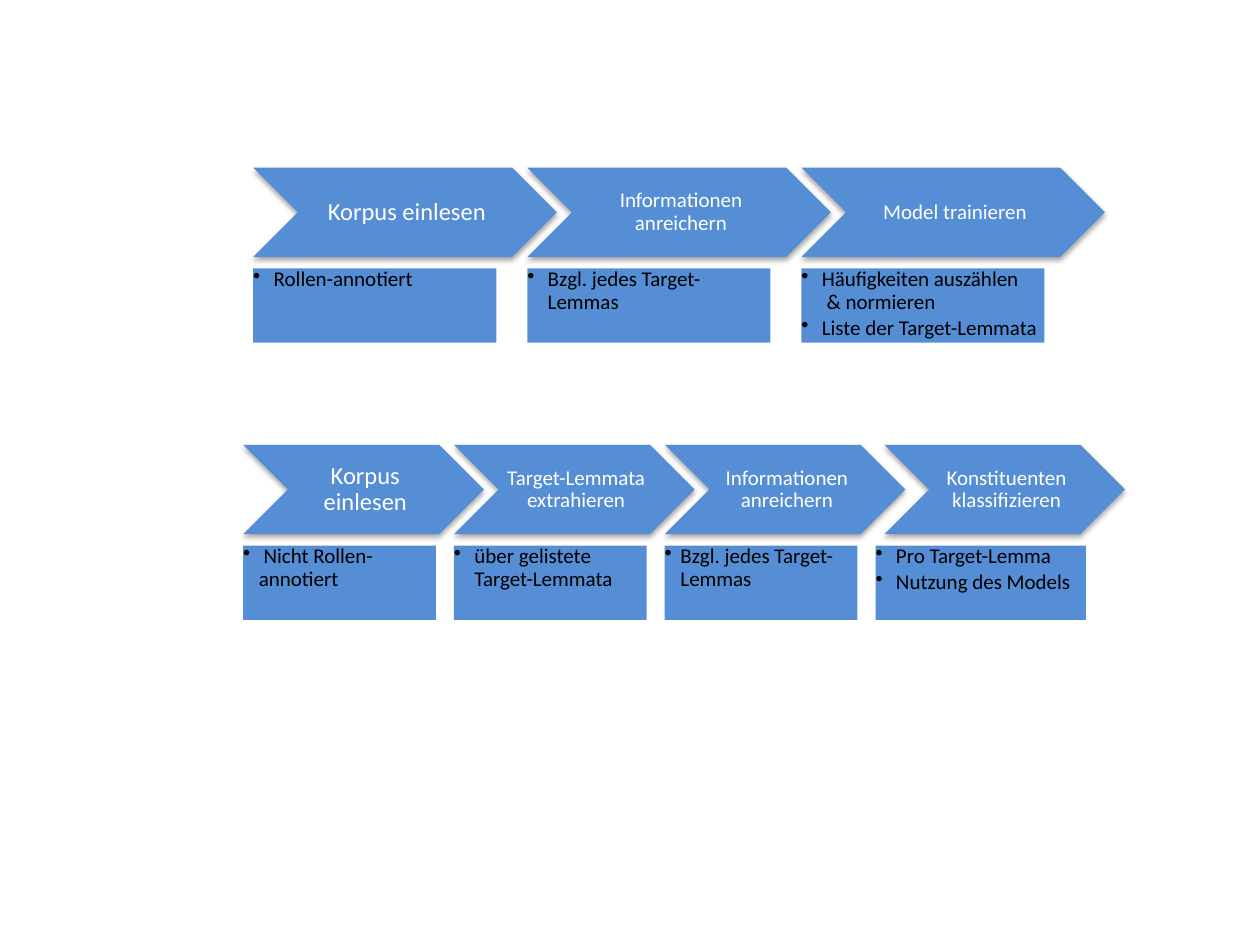
from lxml import etree
from pptx import Presentation
from pptx import util as u
from pptx.dml.color import RGBColor
from pptx.enum import shapes, text
from pptx.oxml import ns

# Content: (step, heading size, notes)
TRAINING = [
    ("Korpus einlesen", 14, [" Rollen-annotiert"]),
    ("Informationen anreichern", 12, [" Bzgl. jedes Target-\n Lemmas"]),
    ("Model trainieren", 12,
     [" Häufigkeiten auszählen\n  & normieren", " Liste der Target-Lemmata"]),
]
CLASSIFYING = [
    ("Korpus einlesen", 14, [" Nicht Rollen-annotiert"]),
    ("Target-Lemmata extrahieren", 12, [" über gelistete \n Target-Lemmata"]),
    ("Informationen anreichern", 12, ["Bzgl. jedes Target-Lemmas"]),
    ("Konstituenten klassifizieren", 12,
     [" Pro Target-Lemma", " Nutzung des Models"]),
]

# Layout in inches; the last column may shift its arrow and widen its note
ROWS = [
    dict(steps=TRAINING, left=2.01, top=1.33, pitch=2.175, arrow=2.41,
         note=1.93, last_shift=0, last_extra=0),
    dict(steps=CLASSIFYING, left=1.93, top=3.53, pitch=1.673, arrow=1.91,
         note=1.53, last_shift=0.07, last_extra=0.14),
]
ARROW_HEIGHT, NOTE_HEIGHT, NOTE_OFFSET = 0.71, 0.59, 0.8
BLUE, WHITE, BLACK = "558ED5", "FFFFFF", "000000"
FONT = "Calibri"


def color(value):
    return RGBColor.from_string(value)


def add_block(group, kind, left, top, width, height, margins, anchor):
    box = group.shapes.add_shape(
        kind, *(u.Inches(n) for n in (left, top, width, height)))
    box.shadow.inherit = False
    box.fill.solid()
    box.fill.fore_color.rgb = color(BLUE)
    box.line.fill.background()
    frame = box.text_frame
    frame.word_wrap = True
    frame.vertical_anchor = anchor
    (frame.margin_left, frame.margin_top,
     frame.margin_right, frame.margin_bottom) = map(u.Inches, margins)
    return box


def add_shadow(box):
    effects = box._element.spPr.find(ns.qn("a:effectLst"))
    shadow = etree.SubElement(
        effects, ns.qn("a:outerShdw"), blurRad=str(u.Pt(3.1)),
        dist=str(u.Pt(1.8)), dir="5400000", rotWithShape="0")
    tint = etree.SubElement(shadow, ns.qn("a:srgbClr"), val=BLACK)
    etree.SubElement(tint, ns.qn("a:alpha"), val="35000")


def add_bullet(para):
    props = para._p.get_or_add_pPr()
    indent = u.Inches(0.125)
    props.set("marL", str(indent))
    props.set("indent", str(-indent))
    etree.SubElement(props, ns.qn("a:buChar"), char="•")


def write(frame, lines, size, ink, align, after, bullets=False):
    for index, line in enumerate(lines):
        para = frame.add_paragraph() if index else frame.paragraphs[0]
        para.text = line
        para.alignment = align
        para.line_spacing = 0.9
        para.space_after = u.Pt(after)
        if bullets:
            add_bullet(para)
        para.font.name = FONT
        para.font.size = u.Pt(size)
        para.font.color.rgb = color(ink)


def add_process(slide, row):
    group = slide.shapes.add_group_shape()
    for column, (heading, size, notes) in enumerate(row["steps"]):
        left = row["left"] + column * row["pitch"]
        last = column == len(row["steps"]) - 1

        # Step arrow
        arrow = add_block(
            group, shapes.MSO_SHAPE.CHEVRON,
            left + last * row["last_shift"], row["top"],
            row["arrow"], ARROW_HEIGHT,
            (0.05, 0.02, 0.02, 0.02), text.MSO_ANCHOR.MIDDLE)
        add_shadow(arrow)
        write(arrow.text_frame, [heading], size, WHITE,
              text.PP_ALIGN.CENTER, 0)

        # Notes under the arrow
        note = add_block(
            group, shapes.MSO_SHAPE.RECTANGLE, left, row["top"] + NOTE_OFFSET,
            row["note"] + last * row["last_extra"], NOTE_HEIGHT,
            (0, 0, 0, 0), text.MSO_ANCHOR.TOP)
        write(note.text_frame, notes, 12, BLACK,
              text.PP_ALIGN.LEFT, 2, bullets=True)


def main():
    deck = Presentation()
    deck.slide_width, deck.slide_height = u.Inches(10), u.Inches(7.5)
    slide = deck.slides.add_slide(deck.slide_layouts[6])
    for row in ROWS:
        add_process(slide, row)
    deck.save("out.pptx")


if __name__ == "__main__":
    main()
